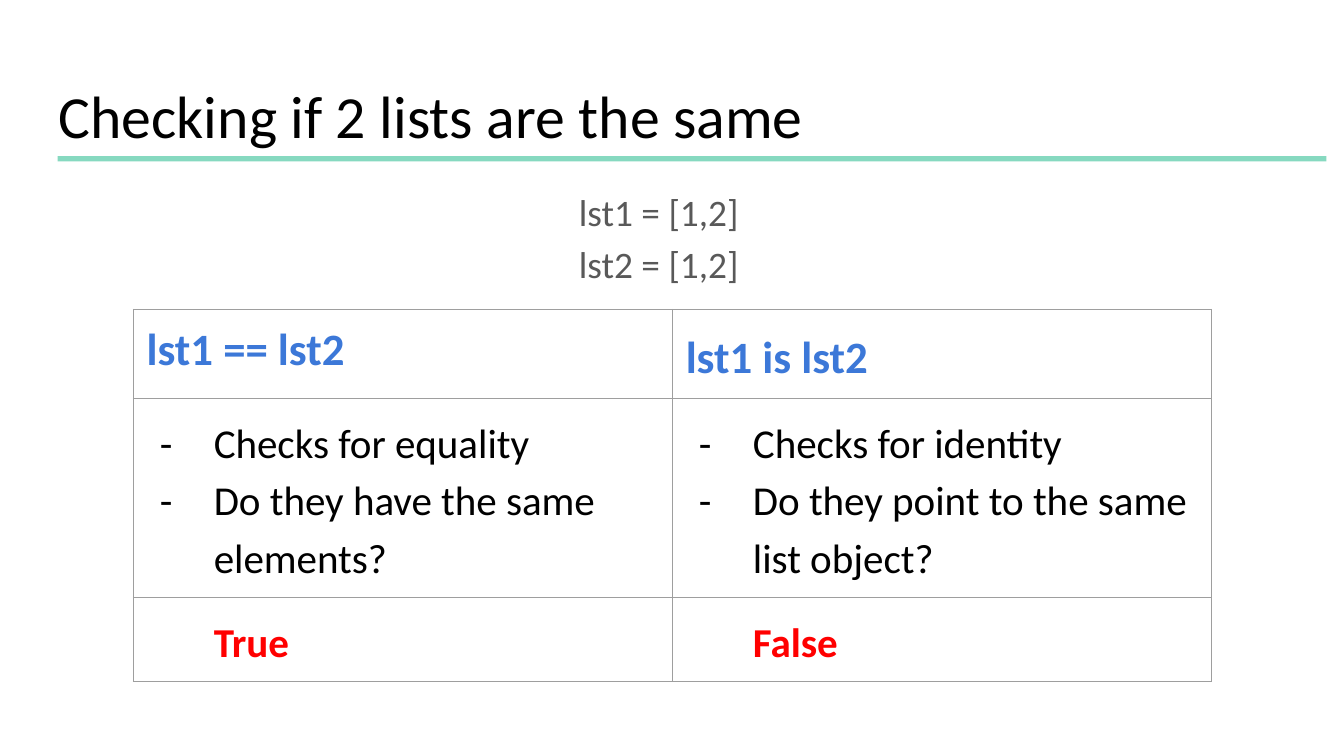
"""Build a slide comparing list equality with list identity."""
import dataclasses

import lxml.etree
import pptx
import pptx.dml.color
import pptx.enum.shapes
import pptx.enum.text
import pptx.oxml.ns
import pptx.util
from pptx.util import Cm


@dataclasses.dataclass(frozen=True)
class Theme:
    font: str = "Calibri"
    text: str = "000000"
    muted: str = "595959"
    heading: str = "3C78D8"
    result: str = "FF0000"
    rule: str = "86D9C0"
    border: str = "9E9E9E"
    title_size: int = 32
    heading_size: int = 24
    table_size: int = 22
    body_size: int = 20


theme = Theme()


def add_element(parent, tag, **attributes):
    """Append a DrawingML child element."""
    return lxml.etree.SubElement(parent, pptx.oxml.ns.qn(tag), attributes)


def write_text(frame, lines, size, color=theme.text, bold=False, spacing=1.15, margin=0, indent=0, bullet=None):
    """Fill a text frame with formatted paragraphs."""
    for index, line in enumerate(lines):
        paragraph = frame.add_paragraph() if index else frame.paragraphs[0]
        paragraph.alignment = pptx.enum.text.PP_ALIGN.LEFT
        paragraph.line_spacing = spacing
        paragraph.space_before = paragraph.space_after = pptx.util.Pt(0)
        properties = paragraph._p.get_or_add_pPr()
        properties.set("marL", str(Cm(margin)))
        properties.set("indent", str(Cm(indent)))
        if bullet:
            bullet_color = add_element(properties, "a:buClr")
            add_element(bullet_color, "a:srgbClr", val=color)
            add_element(properties, "a:buFont", typeface=theme.font)
            add_element(properties, "a:buChar", char=bullet)
        else:
            add_element(properties, "a:buNone")
        run = paragraph.add_run()
        run.text = line
        run.font.name = theme.font
        run.font.size = pptx.util.Pt(size)
        run.font.bold = bold
        run.font.color.rgb = pptx.dml.color.RGBColor.from_string(color)


presentation = pptx.Presentation()
presentation.slide_width = Cm(25.4)
presentation.slide_height = Cm(14.29)
slide = presentation.slides.add_slide(presentation.slide_layouts[1])

rule = slide.shapes.add_shape(pptx.enum.shapes.MSO_SHAPE.RECTANGLE, Cm(1.09), Cm(2.95), Cm(23.98), Cm(0.1))
rule.shadow.inherit = False
rule.fill.solid()
rule.fill.fore_color.rgb = pptx.dml.color.RGBColor.from_string(theme.rule)
rule.line.fill.background()

title, body = slide.placeholders
placements = [
    (title, (0.86, 1.24, 23.67, 1.6)),
    (body, (9.42, 3.2, 5.84, 2.29)),
]
for shape, bounds in placements:
    shape.left, shape.top, shape.width, shape.height = map(Cm, bounds)
    frame = shape.text_frame
    frame.word_wrap = True
    frame.auto_size = pptx.enum.text.MSO_AUTO_SIZE.NONE
    frame.vertical_anchor = pptx.enum.text.MSO_ANCHOR.TOP
    frame.margin_left = frame.margin_right = frame.margin_top = frame.margin_bottom = Cm(0.25)

write_text(title.text_frame, ["Checking if 2 lists are the same"], theme.title_size, spacing=1.0)
write_text(body.text_frame, ["lst1 = [1,2]", "lst2 = [1,2]"], theme.body_size, color=theme.muted, margin=1.27)

comparisons = [
    ("lst1 == lst2", 1.0, ["Checks for equality", "Do they have the same elements?"], "True"),
    ("lst1 is lst2", 1.15, ["Checks for identity", "Do they point to the same list object?"], "False"),
]
row_heights = [1.22, 3.1, 1.35]
column_width = 10.19
table = slide.shapes.add_table(
    len(row_heights), len(comparisons), Cm(2.52), Cm(5.85), Cm(column_width * len(comparisons)), Cm(sum(row_heights))
).table
table.first_row = table.horz_banding = False
for row, height in zip(table.rows, row_heights):
    row.height = Cm(height)

for cell in table.iter_cells():
    cell.margin_left = cell.margin_right = cell.margin_top = cell.margin_bottom = Cm(0.25)
    properties = cell._tc.get_or_add_tcPr()
    for side in ("a:lnL", "a:lnR", "a:lnT", "a:lnB"):
        border = add_element(properties, side, w=str(pptx.util.Pt(0.75)))
        border_fill = add_element(border, "a:solidFill")
        add_element(border_fill, "a:srgbClr", val=theme.border)
    cell.fill.background()

for column, (expression, heading_spacing, checks, result) in enumerate(comparisons):
    table.columns[column].width = Cm(column_width)
    heading_frame, checks_frame, result_frame = (
        table.cell(row, column).text_frame for row in range(len(row_heights))
    )
    write_text(
        heading_frame, [expression], theme.heading_size, color=theme.heading, bold=True, spacing=heading_spacing
    )
    write_text(checks_frame, checks, theme.table_size, margin=1.27, indent=-1.02, bullet="-")
    write_text(result_frame, [result], theme.table_size, color=theme.result, bold=True, margin=1.27)

presentation.save("out.pptx")
